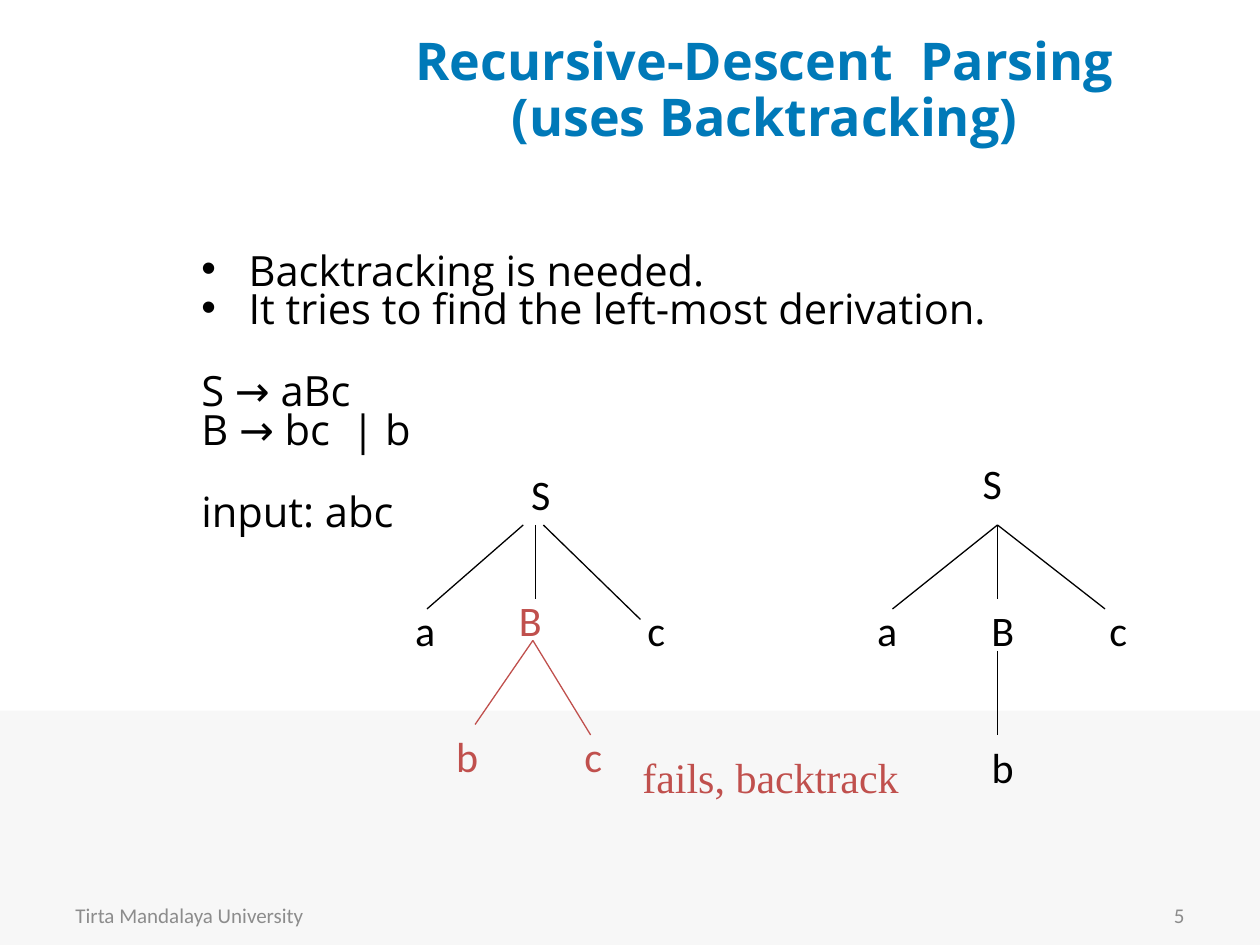
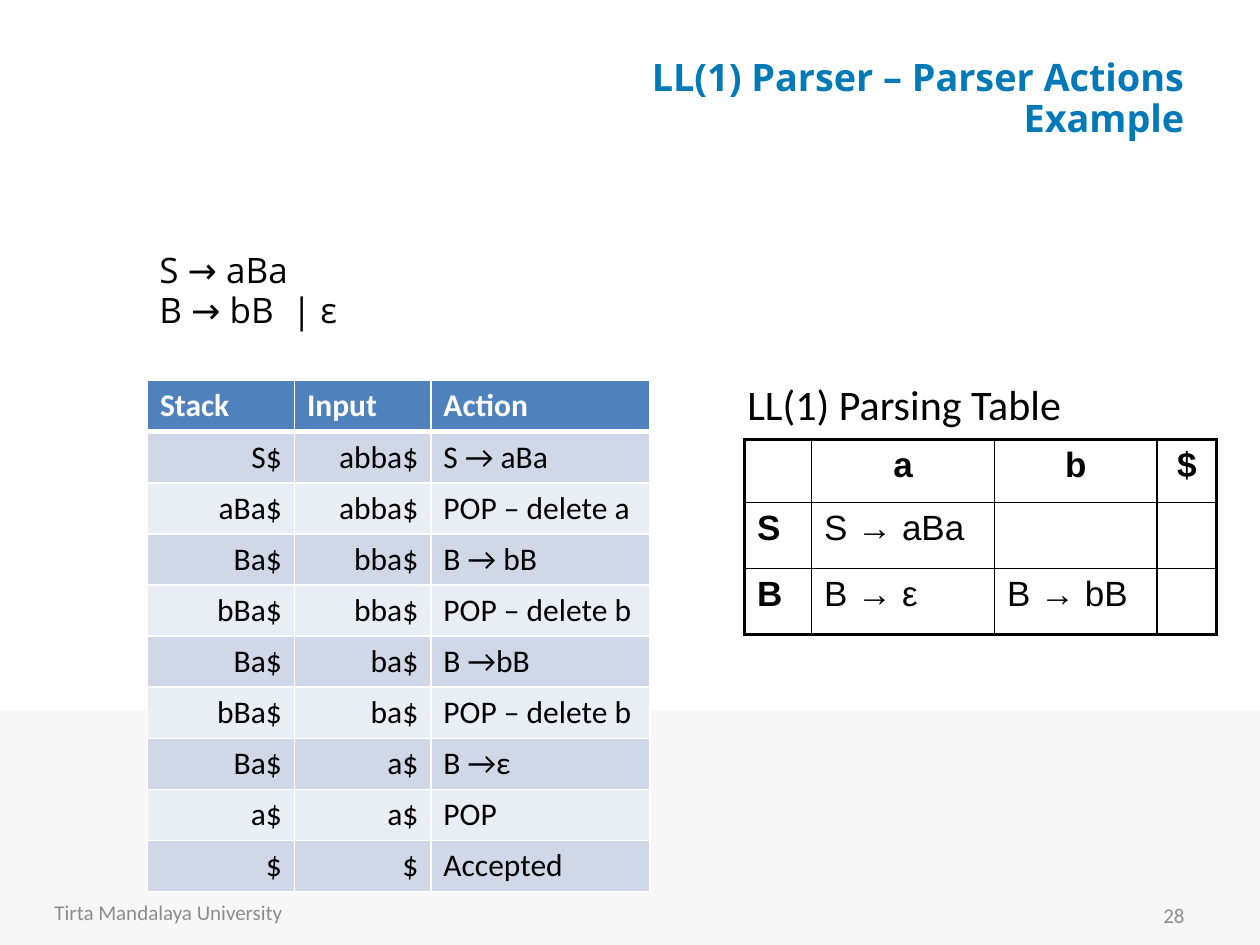
import pptx
import pptx.util
import pptx.dml.color
import pptx.enum.shapes
import pptx.enum.text
import pptx.oxml
import pptx.oxml.ns
import lxml.etree

Pt = pptx.util.Pt
Color = pptx.dml.color.RGBColor
Align = pptx.enum.text.PP_ALIGN
Anchor = pptx.enum.text.MSO_ANCHOR
qn = pptx.oxml.ns.qn

# Shared look
BLACK = Color(0x00, 0x00, 0x00)
WHITE = Color(0xFF, 0xFF, 0xFF)
BAND_GRAY = Color(0xF7, 0xF7, 0xF7)
FOOTER_GRAY = Color(0x8C, 0x8C, 0x8C)
TITLE_BLUE = Color(0x00, 0x79, 0xB8)
FAIL_RED = Color(0xC0, 0x50, 0x4D)
HEADER_BLUE = Color(0x4F, 0x81, 0xBD)
ROW_DARK = Color(0xD0, 0xD8, 0xE8)
ROW_LIGHT = Color(0xE9, 0xED, 0xF4)
HEADING_FONT = "Open Sans"
BODY_FONT = "Calibri"
UNIVERSITY = "Tirta Mandalaya University"
NODE_WIDTH, NODE_HEIGHT = 42, 36

# Parse trees: nodes are (label, left, top, color), edges (x1, y1, x2, y2, color)
FAILED_TREE = (
    [("S", 288, 264, BLACK), ("a", 222, 342, BLACK), ("B", 282, 336, FAIL_RED),
     ("c", 354, 342, BLACK), ("b", 246, 414, FAIL_RED), ("c", 318, 414, FAIL_RED)],
    [(299, 300, 244, 348, BLACK), (310.5, 300, 366, 354, BLACK),
     (306, 300, 306, 342, BLACK), (304.5, 366, 271.5, 414, FAIL_RED),
     (304.5, 366, 337.5, 420, FAIL_RED)],
)
ACCEPTED_TREE = (
    [("S", 546, 258, BLACK), ("a", 486, 342, BLACK), ("B", 552, 342, BLACK),
     ("c", 618, 342, BLACK), ("b", 552, 420, BLACK)],
    [(570, 300, 510, 348, BLACK), (570, 300, 631.5, 348, BLACK),
     (570, 300, 570, 342, BLACK), (570, 372, 570, 420, BLACK)],
)

ACTIONS = [
    ("Stack", "Input", "Action"),
    ("S$", "abba$", "S → aBa"),
    ("aBa$", "abba$", "POP – delete a"),
    ("Ba$", "bba$", "B → bB"),
    ("bBa$", "bba$", "POP – delete b"),
    ("Ba$", "ba$", "B →bB"),
    ("bBa$", "ba$", "POP – delete b"),
    ("Ba$", "a$", "B →ε"),
    ("a$", "a$", "POP"),
    ("$", "$", "Accepted"),
]
PARSING_TABLE = [
    ("", "a", "b", "$"),
    ("S", "S → aBa", "", ""),
    ("B", "B → ε", "B → bB", ""),
]


def add_run(paragraph, text, size, color=BLACK, font=BODY_FONT, bold=False):
    run = paragraph.add_run()
    run.text = text
    run.font.size = Pt(size)
    run.font.name = font
    run.font.bold = bold
    run.font.color.rgb = color


def add_text(shapes, box, text, size, color=BLACK, font=BODY_FONT,
             align=Align.LEFT, anchor=Anchor.TOP):
    shape = shapes.add_textbox(*[Pt(length) for length in box])
    frame = shape.text_frame
    frame.word_wrap = True
    frame.vertical_anchor = anchor
    paragraph = frame.paragraphs[0]
    paragraph.alignment = align
    add_run(paragraph, text, size, color, font)


def add_slide(presentation, number, footer_box):
    """Title-only slide with the gray band, footer and page number."""
    slide = presentation.slides.add_slide(presentation.slide_layouts[5])
    band = slide.shapes.add_shape(pptx.enum.shapes.MSO_SHAPE.RECTANGLE,
                                  Pt(0), Pt(406), Pt(720), Pt(134))
    band.shadow.inherit = False
    band.fill.solid()
    band.fill.fore_color.rgb = BAND_GRAY
    band.line.fill.background()
    add_text(slide.shapes, footer_box, UNIVERSITY, 12, FOOTER_GRAY,
             anchor=Anchor.MIDDLE)
    add_text(slide.shapes, (516, 508.5, 168, 28.75), str(number), 12, FOOTER_GRAY,
             align=Align.RIGHT, anchor=Anchor.MIDDLE)
    return slide


def set_title(slide, box, lines, size, align):
    title = slide.shapes.title
    title.left, title.top, title.width, title.height = [Pt(v) for v in box]
    frame = title.text_frame
    frame.auto_size = pptx.enum.text.MSO_AUTO_SIZE.NONE
    frame.vertical_anchor = Anchor.MIDDLE
    paragraph = frame.paragraphs[0]
    paragraph.alignment = align
    paragraph.line_spacing = 0.9
    for index, line in enumerate(lines):
        if index:
            paragraph.add_line_break()
        add_run(paragraph, line, size, TITLE_BLUE, HEADING_FONT, True)


def add_bullet(paragraph):
    properties = paragraph._p.get_or_add_pPr()
    properties.set("marL", str(Pt(27)))
    properties.set("indent", str(-Pt(27)))
    lxml.etree.SubElement(properties, qn("a:buFont")).set("typeface", "Arial")
    lxml.etree.SubElement(properties, qn("a:buChar")).set("char", "•")


def add_body(slide, box, lines, size, spacing):
    """Lines are (text, space before, bulleted)."""
    frame = slide.shapes.add_textbox(*[Pt(v) for v in box]).text_frame
    frame.word_wrap = True
    for index, (text, before, bulleted) in enumerate(lines):
        paragraph = frame.add_paragraph() if index else frame.paragraphs[0]
        paragraph.line_spacing = spacing
        paragraph.space_before = Pt(before)
        if bulleted:
            add_bullet(paragraph)
        add_run(paragraph, text, size, font=HEADING_FONT)


def add_tree(slide, nodes, edges):
    shapes = slide.shapes.add_group_shape().shapes
    for x1, y1, x2, y2, color in edges:
        edge = shapes.add_connector(pptx.enum.shapes.MSO_CONNECTOR.STRAIGHT,
                                    Pt(x1), Pt(y1), Pt(x2), Pt(y2))
        edge.line.color.rgb = color
        edge.line.width = Pt(0.75)
        lxml.etree.SubElement(edge._element.spPr, qn("a:effectLst"))
    for label, left, top, color in nodes:
        add_text(shapes, (left, top, NODE_WIDTH, NODE_HEIGHT), label, 24, color,
                 align=Align.CENTER)


def set_borders(cell, color, widths):
    """Widths run left, right, top, bottom."""
    properties = cell._tc.get_or_add_tcPr()
    for index, (side, width) in enumerate(zip("LRTB", widths)):
        line = pptx.oxml.parse_xml(
            f'<a:ln{side} {pptx.oxml.ns.nsdecls("a")} w="{Pt(width)}"><a:solidFill>'
            f'<a:srgbClr val="{color}"/></a:solidFill></a:ln{side}>')
        properties.insert(index, line)


def add_table(slide, left, top, widths, heights, rows, style_cell):
    frame = slide.shapes.add_table(len(rows), len(widths), Pt(left), Pt(top),
                                   Pt(sum(widths)), Pt(sum(heights)))
    table = frame.table
    table.first_row = table.horz_banding = False
    for column, width in zip(table.columns, widths):
        column.width = Pt(width)
    for row, height in zip(table.rows, heights):
        row.height = Pt(height)
    for row_index, row in enumerate(rows):
        for column_index, text in enumerate(row):
            style_cell(table.cell(row_index, column_index), text,
                       row_index, column_index)


def style_action_cell(cell, text, row, column):
    header = row == 0
    cell.fill.solid()
    cell.fill.fore_color.rgb = HEADER_BLUE if header else (ROW_LIGHT, ROW_DARK)[row % 2]
    paragraph = cell.text_frame.paragraphs[0]
    if not header:
        paragraph.alignment = Align.JUSTIFY if column == 2 else Align.RIGHT
    add_run(paragraph, text, 18, WHITE if header else BLACK, bold=header)
    set_borders(cell, WHITE, (1, 1, 3 if row == 1 else 1, 3 if header else 1))


def style_parsing_cell(cell, text, row, column):
    last_row, last_column = len(PARSING_TABLE) - 1, len(PARSING_TABLE[0]) - 1
    cell.fill.background()
    paragraph = cell.text_frame.paragraphs[0]
    if row == 0:
        paragraph.alignment = Align.CENTER
    if text:
        add_run(paragraph, text, 20, font="Arial", bold=row == 0 or column == 0)
    outer = (column == 0, column == last_column, row == 0, row == last_row)
    set_borders(cell, BLACK, [2.25 if edge else 1 for edge in outer])


def build_backtracking_slide(presentation):
    slide = add_slide(presentation, 5, (36, 508.5, 168, 28.75))
    set_title(slide, (162, 32.25, 550, 40),
              ["Recursive-Descent  Parsing", "(uses Backtracking)"], 29.7, Align.CENTER)
    add_body(slide, (108, 144, 576, 328),
             [("Backtracking is needed.", 0, True),
              ("It tries to find the left-most derivation.", 2.1, True),
              ("S → aBc", 26.9, False),
              ("B → bc  | b", 2.1, False),
              ("input: abc", 26.9, False)], 23.8, 0.7)
    add_text(slide.shapes, (360, 426, 172, 36), "fails, backtrack", 24, FAIL_RED,
             "Times New Roman")
    add_tree(slide, *ACCEPTED_TREE)
    add_tree(slide, *FAILED_TREE)


def build_parser_actions_slide(presentation):
    slide = add_slide(presentation, 28, (24, 502.5, 168, 37.5))
    set_title(slide, (282, 30, 402, 54),
              ["LL(1) Parser – Parser Actions", "Example"], 21.6, Align.RIGHT)
    add_body(slide, (84, 141, 336, 91.5),
             [("S → aBa", 0, False), ("B → bB  | ε", 1.5, False)], 20, 0.9)
    add_text(slide.shapes, (420, 212.5, 258, 65.5), "LL(1) Parsing Table", 24)
    add_table(slide, 425.5, 251, (38.25, 104.5, 93, 34), (36, 38, 37.5),
              PARSING_TABLE, style_parsing_cell)
    add_table(slide, 84.25, 217.5, (84, 78, 125.25), [29.2] * len(ACTIONS),
              ACTIONS, style_action_cell)


def main():
    presentation = pptx.Presentation()
    presentation.slide_width, presentation.slide_height = Pt(720), Pt(540)
    build_backtracking_slide(presentation)
    build_parser_actions_slide(presentation)
    presentation.save("out.pptx")


main()
